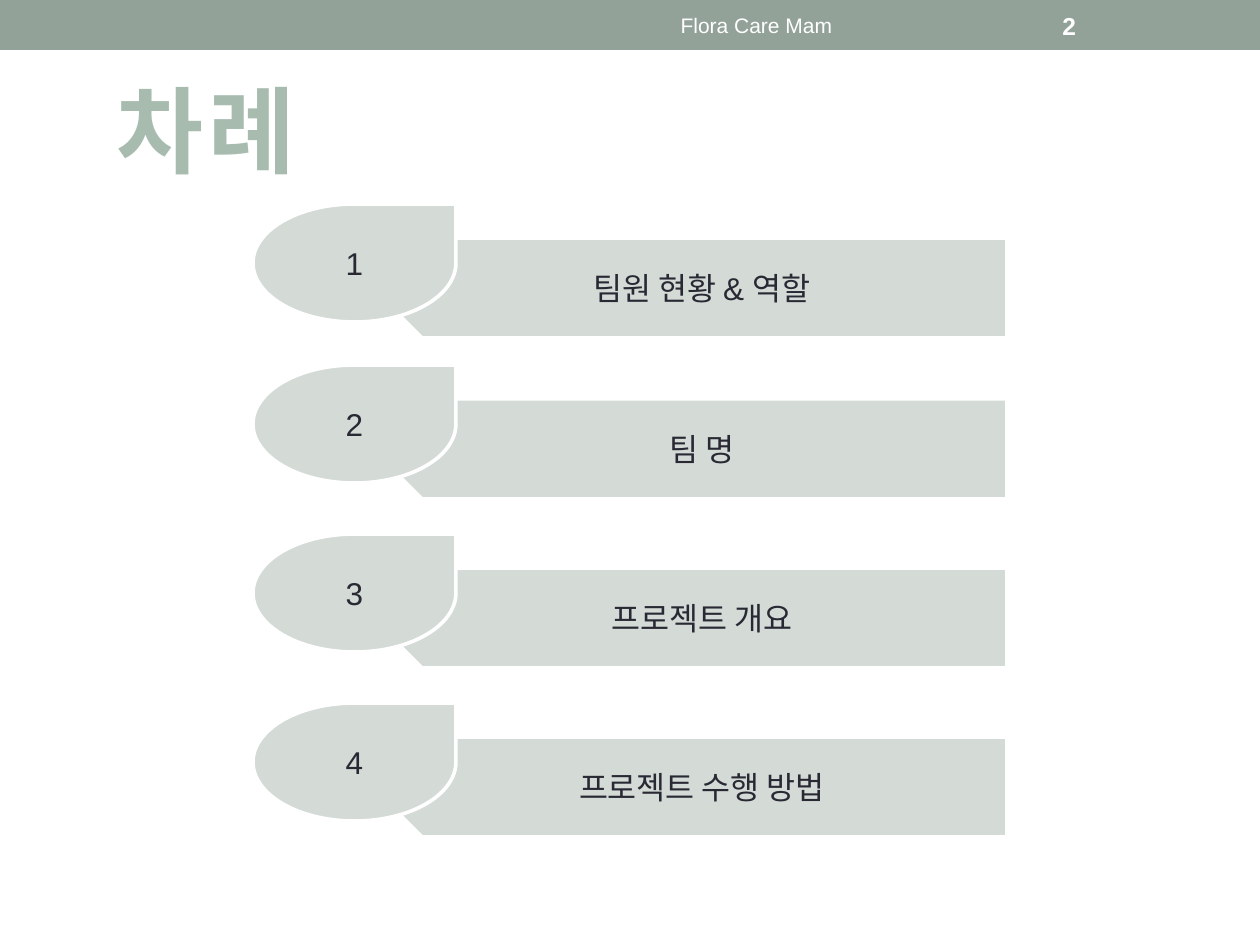
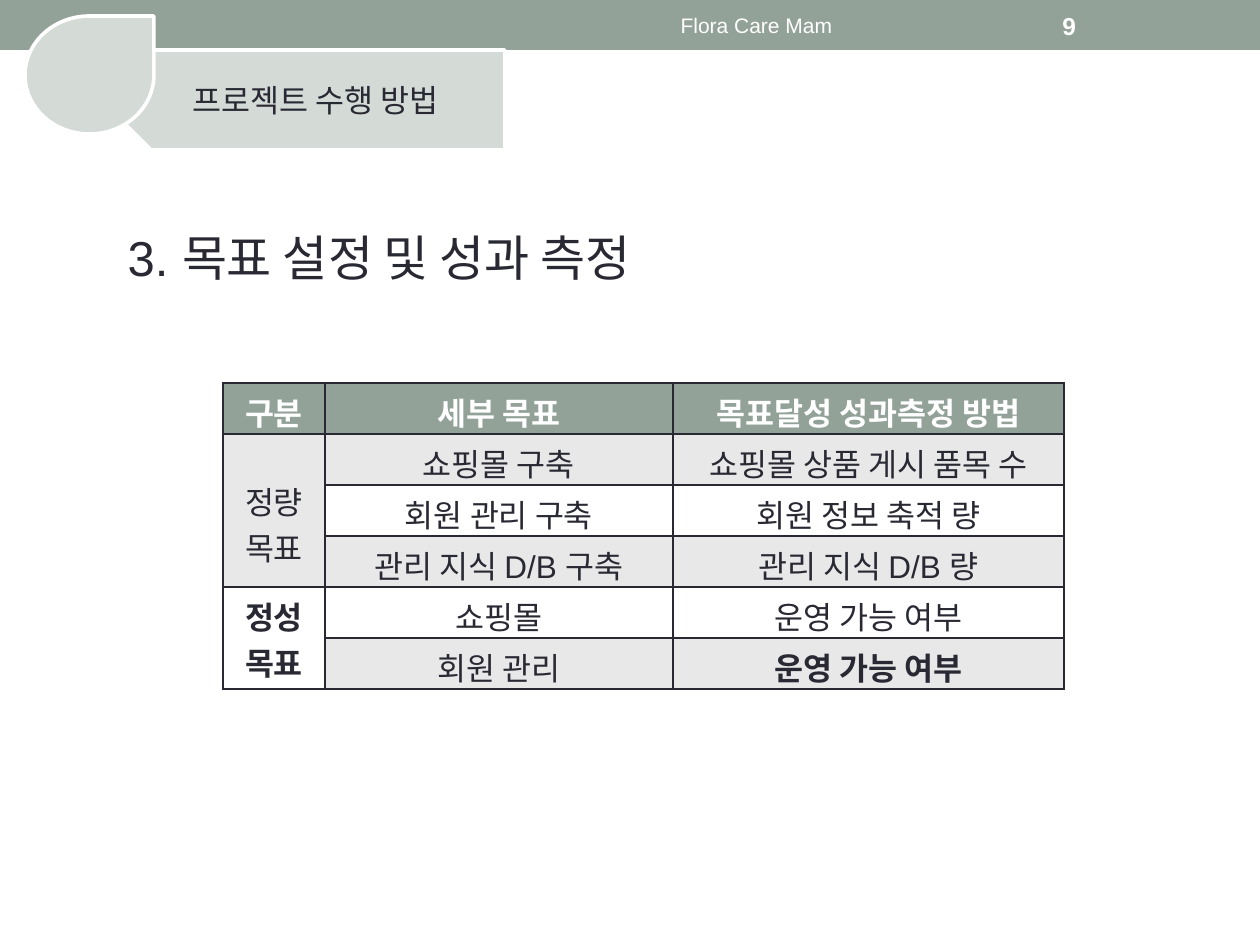
from lxml import etree
from pptx import Presentation
from pptx.dml.color import RGBColor
from pptx.enum.shapes import MSO_SHAPE
from pptx.enum.text import MSO_ANCHOR, MSO_AUTO_SIZE, PP_ALIGN
from pptx.oxml.ns import qn
from pptx.util import Pt

RECTANGLE, PLATE, DROP = MSO_SHAPE.RECTANGLE, MSO_SHAPE.PENTAGON, MSO_SHAPE.TEAR
LEFT, CENTER = PP_ALIGN.LEFT, PP_ALIGN.CENTER
TOP, MIDDLE = MSO_ANCHOR.TOP, MSO_ANCHOR.MIDDLE
GROW = MSO_AUTO_SIZE.SHAPE_TO_FIT_TEXT

PX_PER_INCH = 126
FONT = "Arial"
SAGE, PALE, INK, WHITE, GREY = "93A299", "D4DAD6", "292934", "FFFFFF", "E8E8E8"
MINT, MOSS, MIST = "A7BCAF", "6A7B71", "F7F8F7"

AGENDA = [(204, "팀원 현황 & 역할"), (365, "팀 명"),
          (534, "프로젝트 개요"), (703, "프로젝트 수행 방법")]
GOALS = [
    ("구분", "세부 목표", "목표달성 성과측정 방법"),
    ("정량\n목표", "쇼핑몰 구축", "쇼핑몰 상품 게시 품목 수"),
    ("", "회원 관리 구축", "회원 정보 축적 량"),
    ("", "관리 지식 D/B 구축", "관리 지식 D/B 량"),
    ("정성\n목표", "쇼핑몰", "운영 가능 여부"),
    ("", "회원 관리", "운영 가능 여부"),
]
BOLD_CELLS = {(0, 0), (0, 1), (0, 2), (4, 0), (5, 2)}
COLUMN_WIDTHS = (102, 348, 391)
ROW_HEIGHT = 51


def px(length):
    """Turn pixels into EMU."""
    return round(length * 914400 / PX_PER_INCH)


def color(value):
    """Turn a hex string into a colour."""
    return RGBColor.from_string(value)


def write(frame, text, size=18, ink=INK, bold=False, align=CENTER):
    """Fill a text frame, one paragraph per line, and return its fonts."""
    fonts = []
    for index, line in enumerate(text.split("\n")):
        para = frame.add_paragraph() if index else frame.paragraphs[0]
        para.alignment = align
        span = para.add_run()
        span.text = line
        font = span.font
        font.name, font.size, font.bold = FONT, Pt(size), bold
        font.color.rgb = color(ink)
        fonts.append(font)
    return fonts


def add_shape(page, kind, box, fill, line=None, text=""):
    """Add a filled preset shape with optional outline and text."""
    shape = page.shapes.add_shape(kind, *map(px, box))
    shape.shadow.inherit = False
    shape.fill.solid()
    shape.fill.fore_color.rgb = color(fill)
    if line:
        shape.line.color.rgb = color(line)
        shape.line.width = Pt(2.08)
    else:
        shape.line.fill.background()
    if text:
        shape.text_frame.vertical_anchor = MIDDLE
        write(shape.text_frame, text)
    return shape


def add_label(page, box, text, **style):
    """Add a vertically centred text box."""
    frame = page.shapes.add_textbox(*map(px, box)).text_frame
    frame.word_wrap = True
    frame.vertical_anchor = MIDDLE
    write(frame, text, **style)


def add_header(page, number):
    """Add the top band with the running name and page number."""
    add_shape(page, RECTANGLE, (0, 0, 1260, 50), SAGE)
    add_label(page, (473, 3, 567, 45), "Flora Care Mam", size=12, ink=WHITE)
    add_label(page, (1050, 3, 147, 45), str(number), size=14, ink=WHITE, bold=True, align=LEFT)


def set_title(page, box, text, **style):
    """Place and format the title placeholder and return its font."""
    title = page.shapes.title
    title.left, title.top, title.width, title.height = map(px, box)
    frame = title.text_frame
    frame.word_wrap = False
    frame.auto_size = GROW
    frame.vertical_anchor = TOP
    return write(frame, text, **style)[0]


def decorate_title(font):
    """Give the title a gradient, a thin outline and wider spacing."""
    font.fill.gradient()
    font.fill.gradient_angle = 270
    for stop, (position, value) in zip(font.fill.gradient_stops, ((0.1, MINT), (0.75, MOSS))):
        stop.position = position
        stop.color.rgb = color(value)
    props = font._element
    props.set("spc", "300")
    props.insert(0, make_line("a:ln", MIST, 0.9))


def make_line(tag, value, width):
    """Build a solid line element."""
    line = etree.Element(qn(tag), w=str(Pt(width)))
    fill = etree.SubElement(line, qn("a:solidFill"))
    etree.SubElement(fill, qn("a:srgbClr"), val=value)
    return line


def add_leaf_tag(page, box, drop_width, text, number=""):
    """Add a left-pointing plate with a teardrop over its tip."""
    left, top, width, height = box
    offset = round(drop_width * 0.587)
    plate = add_shape(page, PLATE, (left + offset, top + 34, width - offset, height - 34),
                      PALE, WHITE, text)
    plate.element.spPr.xfrm.set("flipH", "1")
    add_shape(page, DROP, (left, top, drop_width, 118), PALE, WHITE, number)


def add_goal_table(page, left, top):
    """Add the goals table with merged group cells."""
    table = page.shapes.add_table(len(GOALS), len(COLUMN_WIDTHS), px(left), px(top),
                                  px(sum(COLUMN_WIDTHS)), px(ROW_HEIGHT * len(GOALS))).table
    for column, width in zip(table.columns, COLUMN_WIDTHS):
        column.width = px(width)
    for row_index, texts in enumerate(GOALS):
        table.rows[row_index].height = px(ROW_HEIGHT)
        fill = GREY if row_index % 2 else WHITE
        for column_index, text in enumerate(texts):
            cell = table.cell(row_index, column_index)
            cell.fill.solid()
            cell.fill.fore_color.rgb = color(fill if row_index else SAGE)
            props = cell._tc.get_or_add_tcPr()
            for index, side in enumerate("LRTB"):
                props.insert(index, make_line(f"a:ln{side}", INK, 1.5))
            if text:
                write(cell.text_frame, text, ink=INK if row_index else WHITE,
                      bold=(row_index, column_index) in BOLD_CELLS)
    table.cell(1, 0).merge(table.cell(3, 0))
    table.cell(4, 0).merge(table.cell(5, 0))
    table.cell(1, 0).margin_top = px(44)


def build_agenda(deck):
    """Build the contents page."""
    page = deck.slides.add_slide(deck.slide_layouts[5])
    add_header(page, 2)
    decorate_title(set_title(page, (95, 66, 223, 127), "차례", size=54, ink=MINT, bold=True))
    for number, (top, text) in enumerate(AGENDA, 1):
        add_leaf_tag(page, (253, top, 754, 134), 203, text, str(number))


def build_goals(deck):
    """Build the goals and measurement page."""
    page = deck.slides.add_slide(deck.slide_layouts[5])
    add_header(page, 9)
    set_title(page, (115, 221, 596, 72), "3. 목표 설정 및 성과 측정", size=28, align=LEFT)
    add_goal_table(page, 223, 383)
    add_leaf_tag(page, (25, 16, 480, 134), 129, AGENDA[-1][1])


def main():
    """Build and save the deck."""
    deck = Presentation()
    deck.slide_width, deck.slide_height = px(1260), px(945)
    build_agenda(deck)
    build_goals(deck)
    deck.save("out.pptx")


if __name__ == "__main__":
    main()
